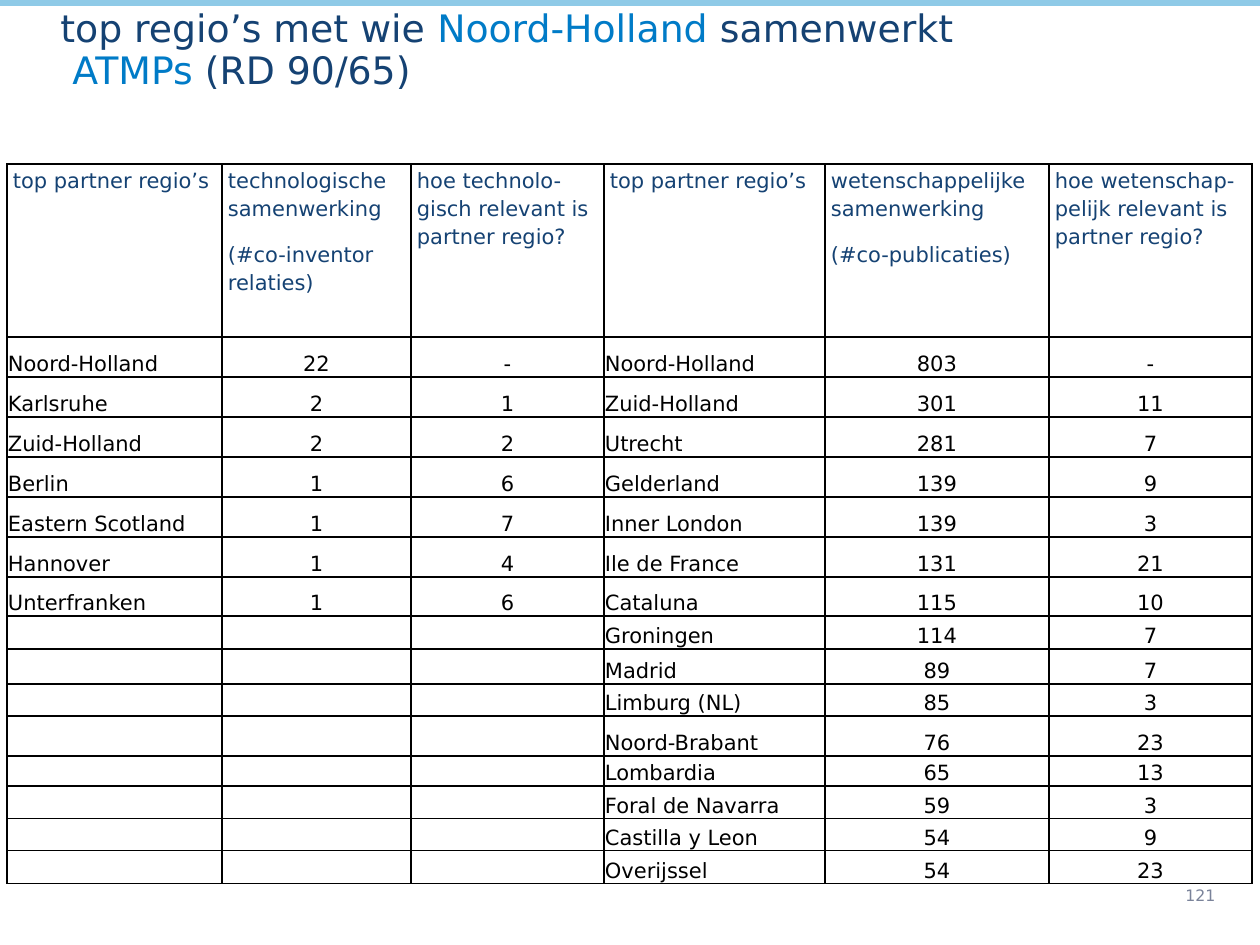
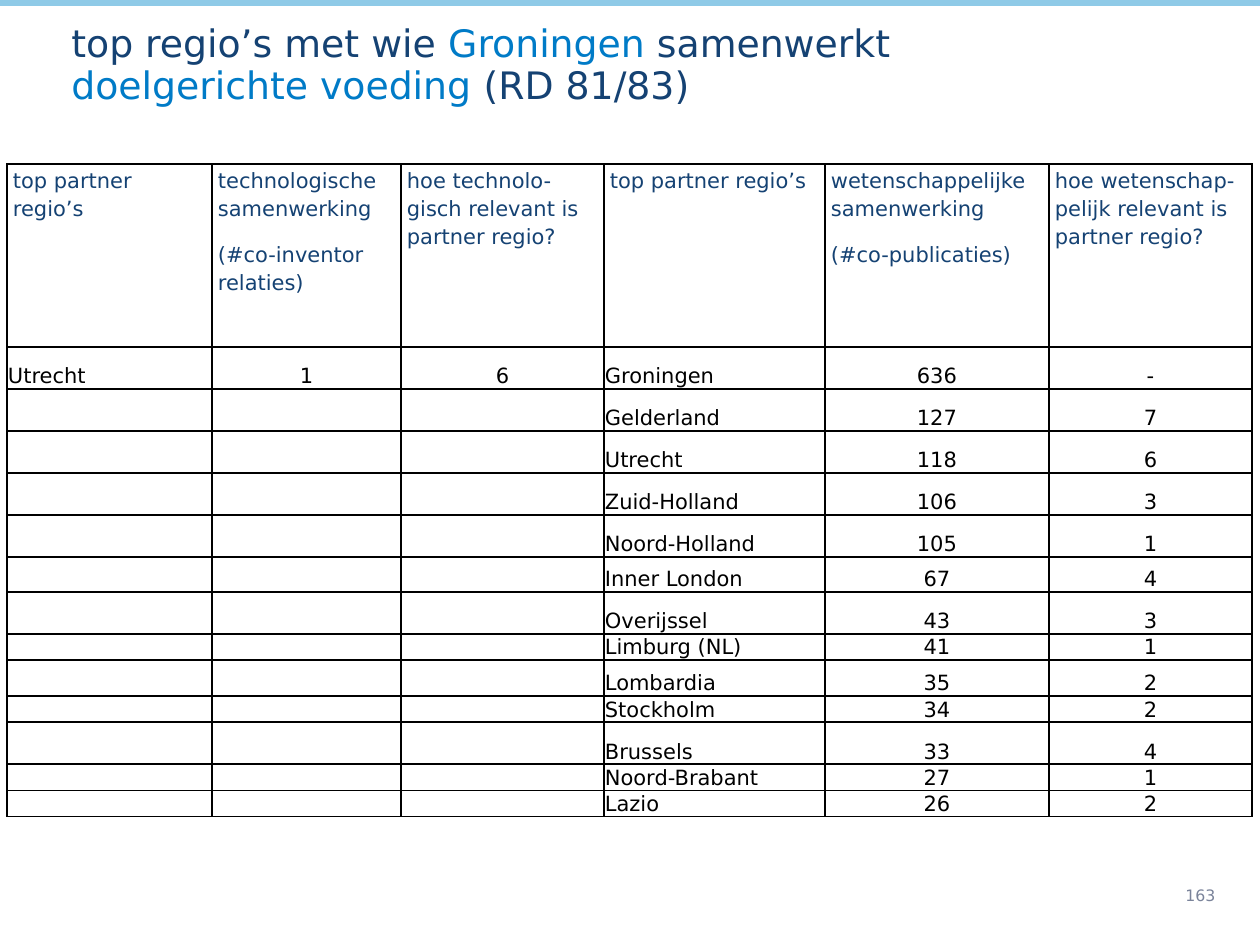
from itertools import zip_longest

from lxml.etree import SubElement
from pptx import Presentation
from pptx.dml.color import RGBColor
from pptx.enum.shapes import MSO_SHAPE
from pptx.enum.text import MSO_ANCHOR, PP_ALIGN
from pptx.oxml.ns import qn
from pptx.util import Pt

SCALE = 914400 / 126
FACE = "DejaVu Sans"
HUES = {"band": "8FCAE7", "navy": "154273", "blue": "007BC7",
        "grey": "7A839A", "black": "000000"}
HEADS = [
    ["top partner regio’s"],
    ["technologische samenwerking", "(#co-inventor relaties)"],
    ["hoe technolo-gisch relevant is partner regio?"],
    ["top partner regio’s"],
    ["wetenschappelijke samenwerking", "(#co-publicaties)"],
    ["hoe wetenschap-pelijk relevant is partner regio?"],
]
HEAD = {"margin_left": 6, "margin_right": 6, "margin_top": 1, "margin_bottom": 0}
BODY = {"margin_left": 1, "margin_right": 1, "margin_top": 1, "margin_bottom": 0}
PAGES = [
    {
        "title": [[("top regio’s met wie ", "navy"), ("Noord-Holland", "blue"),
                   (" samenwerkt", "navy")],
                  [("ATMPs ", "blue"), ("(RD 90/65)", "navy")]],
        "box": (48, 10, 1201, 89), "indent": 12, "number": "121",
        "cols": [215, 189, 193, 221, 224, 203],
        "rows": [173] + [40] * 6 + [39, 33, 35, 32, 40, 30, 33, 32, 33],
        "tech": [("Noord-Holland", "22", "-"), ("Karlsruhe", "2", "1"),
                 ("Zuid-Holland", "2", "2"), ("Berlin", "1", "6"),
                 ("Eastern Scotland", "1", "7"), ("Hannover", "1", "4"),
                 ("Unterfranken", "1", "6")],
        "science": [("Noord-Holland", "803", "-"), ("Zuid-Holland", "301", "11"),
                    ("Utrecht", "281", "7"), ("Gelderland", "139", "9"),
                    ("Inner London", "139", "3"), ("Ile de France", "131", "21"),
                    ("Cataluna", "115", "10"), ("Groningen", "114", "7"),
                    ("Madrid", "89", "7"), ("Limburg (NL)", "85", "3"),
                    ("Noord-Brabant", "76", "23"), ("Lombardia", "65", "13"),
                    ("Foral de Navarra", "59", "3"), ("Castilla y Leon", "54", "9"),
                    ("Overijssel", "54", "23")],
    },
    {
        "title": [[("top regio’s met wie ", "navy"), ("Groningen", "blue"),
                   (" samenwerkt", "navy")],
                  [("doelgerichte voeding ", "blue"), ("(RD 81/83)", "navy")]],
        "box": (59, 25, 1201, 89), "indent": 0, "number": "163",
        "cols": [205, 189, 203, 221, 224, 203],
        "rows": [183] + [42] * 5 + [35, 42, 25, 36, 26, 42, 25, 26],
        "tech": [("Utrecht", "1", "6")],
        "science": [("Groningen", "636", "-"), ("Gelderland", "127", "7"),
                    ("Utrecht", "118", "6"), ("Zuid-Holland", "106", "3"),
                    ("Noord-Holland", "105", "1"), ("Inner London", "67", "4"),
                    ("Overijssel", "43", "3"), ("Limburg (NL)", "41", "1"),
                    ("Lombardia", "35", "2"), ("Stockholm", "34", "2"),
                    ("Brussels", "33", "4"), ("Noord-Brabant", "27", "1"),
                    ("Lazio", "26", "2")],
    },
]


def px(size):
    """Turn px into EMU."""
    return round(size * SCALE)


def shade(name):
    """Return a named colour."""
    return RGBColor.from_string(HUES[name])


def apply(item, style):
    """Set each attribute of a format dict."""
    for key, value in style.items():
        setattr(item, key, value)


def write(para, text, size, hue):
    """Add one styled run to a paragraph."""
    run = para.add_run()
    run.text = text
    apply(run.font, {"name": FACE, "size": Pt(size)})
    run.font.color.rgb = shade(hue)


def fill(frame, lines, size, style):
    """Write lines of coloured runs as paragraphs and return them."""
    for num, runs in enumerate(lines):
        para = frame.add_paragraph() if num else frame.paragraphs[0]
        apply(para, style)
        for text, hue in runs:
            write(para, text, size, hue)
    return frame.paragraphs


def label(slide, box, lines, size, anchor, style):
    """Add a text box and return its paragraphs."""
    frame = slide.shapes.add_textbox(*map(px, box)).text_frame
    apply(frame, {"word_wrap": True, "vertical_anchor": anchor})
    return fill(frame, lines, size, style)


def band(slide, box):
    """Draw the band along the top."""
    bar = slide.shapes.add_shape(MSO_SHAPE.RECTANGLE, *map(px, box))
    bar.shadow.inherit = False
    bar.fill.solid()
    bar.fill.fore_color.rgb = bar.line.color.rgb = shade("band")
    bar.line.width = Pt(0.75)


def border(cell):
    """Give a cell four black edges and no fill."""
    props = cell._tc.get_or_add_tcPr()
    for side in ("a:lnL", "a:lnR", "a:lnT", "a:lnB"):
        edge = SubElement(props, qn(side), w=str(Pt(1)))
        solid = SubElement(edge, qn("a:solidFill"))
        SubElement(solid, qn("a:srgbClr"), val=HUES["black"])
    cell.fill.background()


def put(cell, lines, hue, edges, anchor, style):
    """Fill one table cell."""
    border(cell)
    apply(cell, {key: px(size) for key, size in edges.items()})
    cell.vertical_anchor = anchor
    if lines:
        fill(cell.text_frame, [[(line, hue)] for line in lines], 12, style)
    else:
        para = cell.text_frame.paragraphs[0]
        SubElement(para._p, qn("a:endParaRPr"), sz="1200")


def grid(slide, left, top, page):
    """Place the table of partner regions."""
    cols, rows = page["cols"], page["rows"]
    box = (left, top, sum(cols), sum(rows))
    table = slide.shapes.add_table(len(rows), len(cols), *map(px, box)).table
    apply(table, {"first_row": False, "horz_banding": False})
    for col, width in zip(table.columns, cols):
        col.width = px(width)
    for row, height in zip(table.rows, rows):
        row.height = px(height)
    for num, lines in enumerate(HEADS):
        put(table.cell(0, num), lines, "navy", HEAD, MSO_ANCHOR.TOP,
            {"line_spacing": 1.15, "space_after": Pt(10)})
    pairs = zip_longest(page["tech"], page["science"], fillvalue=("", "", ""))
    for row, (tech, science) in enumerate(pairs, 1):
        for num, text in enumerate(tech + science):
            align = PP_ALIGN.CENTER if num % 3 else PP_ALIGN.LEFT
            put(table.cell(row, num), [text] if text else [], "black", BODY,
                MSO_ANCHOR.BOTTOM, {"alignment": align})


def build(deck, page):
    """Build one slide of partner regions."""
    slide = deck.slides.add_slide(deck.slide_layouts[6])
    band(slide, (0, 0, 1260, 5))
    paras = label(slide, page["box"], page["title"], 21.6, MSO_ANCHOR.BOTTOM,
                  {"line_spacing": 0.93})
    paras[1]._p.get_or_add_pPr().set("marL", str(px(page["indent"])))
    grid(slide, 7, 164, page)
    label(slide, (1173, 869, 86, 52), [[(page["number"], "grey")]], 9,
          MSO_ANCHOR.MIDDLE, {})


def main():
    """Build and save the deck."""
    deck = Presentation()
    apply(deck, {"slide_width": px(1260), "slide_height": px(945)})
    for page in PAGES:
        build(deck, page)
    deck.save("out.pptx")


if __name__ == "__main__":
    main()
